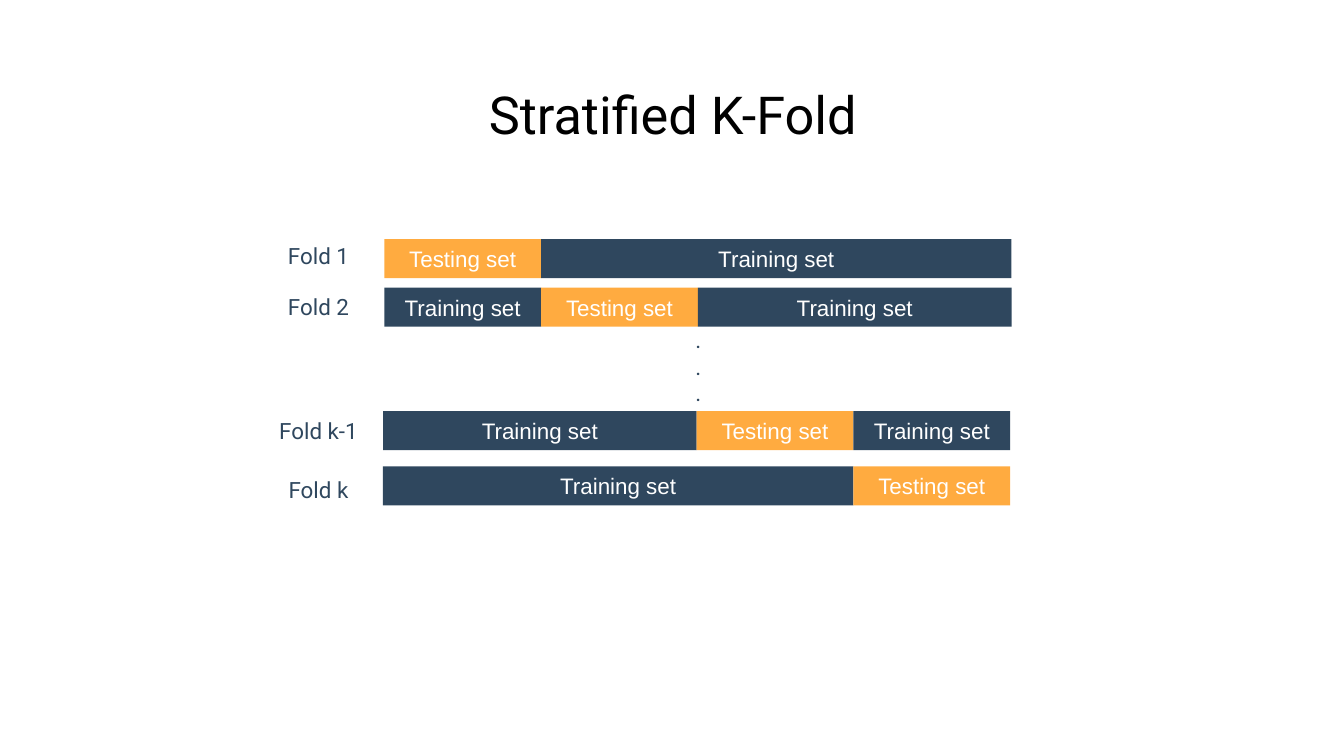
from pptx import Presentation
from pptx import util as u
from pptx.dml import color
from pptx.enum import shapes, text

COLORS = {"test": "FFAB40", "train": "2F475E", "label": "2F475E",
          "title": "000000", "white": "FFFFFF"}
SET_NAMES = {"test": "Testing set", "train": "Training set"}
TITLE = "Stratified K-Fold"
DOTS = [".", ".", "."]
FOLDS = [
    {"label": "Fold 1", "left": 2.86, "top": 1.78, "label_top": 1.64,
     "parts": [("test", 1), ("train", 3)]},
    {"label": "Fold 2", "left": 2.86, "top": 2.14, "label_top": 2.02,
     "parts": [("train", 1), ("test", 1), ("train", 2)]},
    {"label": "Fold k-1", "left": 2.85, "top": 3.06, "label_top": 2.94,
     "parts": [("train", 2), ("test", 1), ("train", 1)]},
    {"label": "Fold k", "left": 2.85, "top": 3.47, "label_top": 3.38,
     "parts": [("train", 3), ("test", 1)]},
]
SLIDE_WIDTH = 10
SLIDE_HEIGHT = SLIDE_WIDTH * 9 / 16
COLUMN = 3.5 / 3
BAR_HEIGHT = 0.29
LABEL_LEFT, LABEL_WIDTH = 1.96, 0.82
WIDE, BOX_HEIGHT = 8.45, 0.53


def rgb(name):
    return color.RGBColor.from_string(COLORS[name])


def write(box, lines, size, font, ink):
    frame = box.text_frame
    frame.word_wrap = True
    frame.vertical_anchor = text.MSO_ANCHOR.MIDDLE
    frame.text = "\n".join(lines)
    for para in frame.paragraphs:
        para.alignment = text.PP_ALIGN.CENTER
        para.font.size = u.Pt(size)
        para.font.name = font
        para.font.color.rgb = rgb(ink)


def add_text(page, lines, left, top, width, size, ink):
    box = page.shapes.add_textbox(*map(u.Inches, (left, top, width, BOX_HEIGHT)))
    frame = box.text_frame
    frame.margin_left = frame.margin_right = u.Inches(0.1)
    frame.margin_top = frame.margin_bottom = u.Inches(0.1)
    write(box, lines, size, "Roboto", ink)


def add_bar(page, kind, left, top, width):
    bar = page.shapes.add_shape(shapes.MSO_SHAPE.RECTANGLE,
                                *map(u.Inches, (left, top, width, BAR_HEIGHT)))
    bar.shadow.inherit = False
    bar.fill.solid()
    bar.fill.fore_color.rgb = rgb(kind)
    bar.line.fill.background()
    write(bar, [SET_NAMES[kind]], 12, "Arial", "white")


def main():
    deck = Presentation()
    deck.slide_width = u.Inches(SLIDE_WIDTH)
    deck.slide_height = u.Inches(SLIDE_HEIGHT)
    page = deck.slides.add_slide(deck.slide_layouts[6])

    add_text(page, [TITLE], 0.78, 0.58, WIDE, 28, "title")
    for fold in FOLDS:
        left = fold["left"]
        for kind, columns in fold["parts"]:
            add_bar(page, kind, left, fold["top"], columns * COLUMN)
            left += columns * COLUMN
    add_text(page, DOTS, 0.97, 2.46, WIDE, 12, "label")
    for fold in FOLDS:
        add_text(page, [fold["label"]], LABEL_LEFT, fold["label_top"],
                 LABEL_WIDTH, 12, "label")

    deck.save("out.pptx")


if __name__ == "__main__":
    main()
